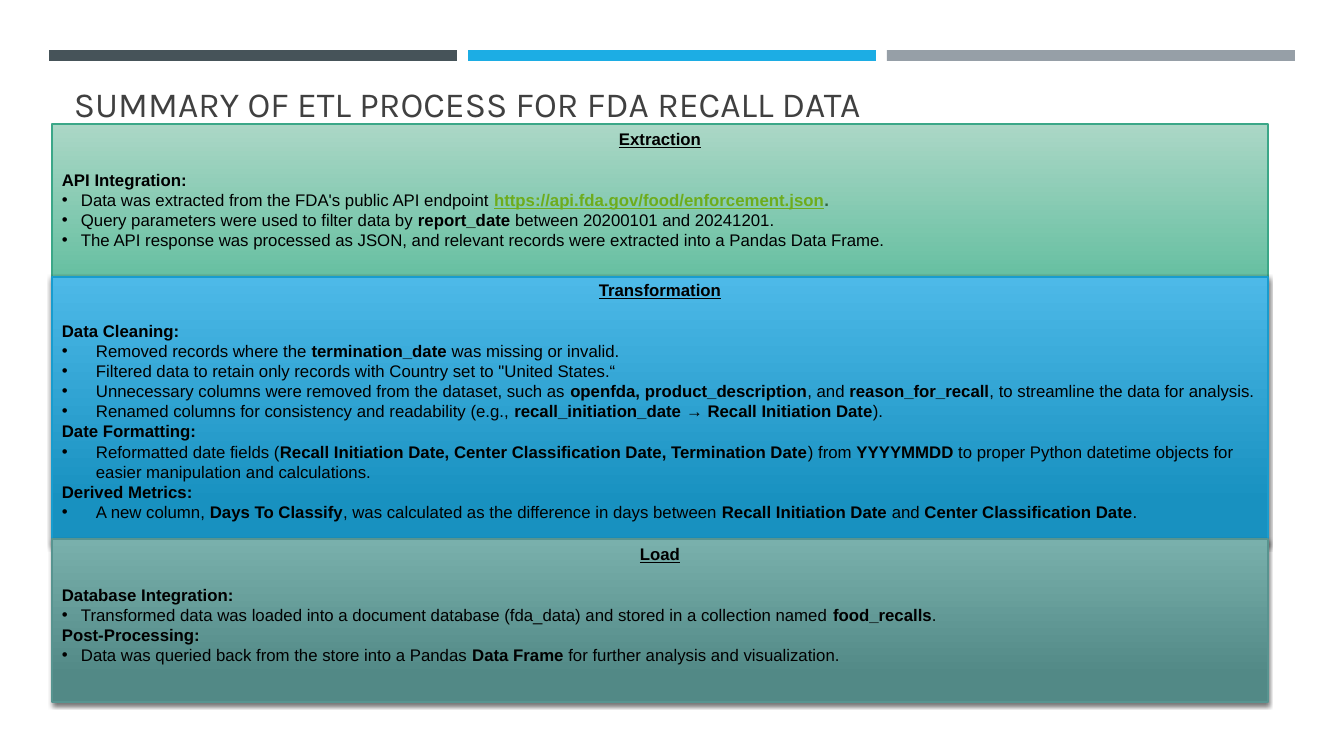
from lxml.etree import SubElement
from pptx import Presentation
from pptx.dml.color import RGBColor
from pptx.enum.shapes import MSO_SHAPE as Shape
from pptx.enum.text import MSO_ANCHOR as Anchor, PP_ALIGN as Align
from pptx.oxml.ns import qn
from pptx.util import Pt

EMU_PER_PX = 914400 / 100.8
COLORS = {
    "dark bar": "465359", "blue bar": "1CADE4", "grey bar": "969FA7",
    "title": "404040", "text": "000000", "link": "6EAC1C", "stop": "2F663E",
    "shadow": "000000",
    "green top": "ABD7C6", "green bottom": "62BE9F", "green line": "3BA788",
    "blue top": "4DB9E8", "blue bottom": "1891C0", "blue line": "189CCE",
    "teal top": "79B0AC", "teal bottom": "528986", "teal line": "579490",
}
ENDPOINT = "https://api.fda.gov/food/enforcement.json"
EMPHASIS_COLORS = {ENDPOINT: "link", ".": "stop"}

STAGES = [
    {
        "heading": "Extraction", "box": (52, 124, 1216, 163), "theme": "green",
        "end": 1, "shadow": False, "indent": 19, "inset": 5,
        "groups": [("API Integration:", [
            f"Data was extracted from the FDA's public API endpoint *{ENDPOINT}**.*",
            "Query parameters were used to filter data by *report_date* between 20200101 and 20241201.",
            "The API response was processed as JSON, and relevant records were extracted into a Pandas Data Frame.",
        ])],
    },
    {
        "heading": "Transformation", "box": (52, 277, 1216, 267), "theme": "blue",
        "end": 0.84, "shadow": True, "indent": 34, "inset": 3,
        "groups": [
            ("Data Cleaning:", [
                "Removed records where the *termination_date *was missing or invalid.",
                "Filtered data to retain only records with Country set to \"United States.“",
                "Unnecessary columns were removed from the dataset, such as *openfda, product_description*, "
                "and *reason_for_recall*, to streamline the data for analysis.",
                "Renamed columns for consistency and readability (e.g., *recall_initiation_date *→ "
                "*Recall Initiation Date*).",
            ]),
            ("Date Formatting:", [
                "Reformatted date fields (*Recall Initiation Date, Center Classification Date, "
                "Termination Date*) from *YYYYMMDD* to proper Python datetime objects for "
                "easier manipulation and calculations.",
            ]),
            ("Derived Metrics:", [
                "A new column, *Days To Classify*, was calculated as the difference in days between "
                "*Recall Initiation Date *and *Center Classification Date*.",
            ]),
        ],
    },
    {
        "heading": "Load", "box": (52, 539, 1216, 163), "theme": "teal",
        "end": 0.84, "shadow": True, "indent": 19, "inset": 5,
        "groups": [
            ("Database Integration:", [
                "Transformed data was loaded into a document database (fda_data) and stored in a collection "
                "named *food_recalls*.",
            ]),
            ("Post-Processing:", [
                "Data was queried back from the store into a Pandas *Data Frame *for further analysis "
                "and visualization.",
            ]),
        ],
    },
]


def px(length):
    """Turn pixels into EMU."""
    return round(length * EMU_PER_PX)


def color(name):
    """Look up a named colour."""
    return RGBColor.from_string(COLORS[name])


def set_all(target, values):
    """Set each attribute in a dict of format values."""
    for name, value in values.items():
        setattr(target, name, value)


def add_run(paragraph, text, color_name="text", **values):
    """Add a run of text with its font."""
    run = paragraph.add_run()
    run.text = text
    set_all(run.font, {"name": "Arial", "size": Pt(12), **values})
    run.font.color.rgb = color(color_name)


def add_bars(slide, left, top, width, height):
    """Place the row of three bars."""
    gap = 11
    bar_width = (width - 2 * gap) // 3
    for column, name in enumerate(("dark bar", "blue bar", "grey bar")):
        bar_left = left + column * (bar_width + gap)
        bar = slide.shapes.add_shape(Shape.RECTANGLE, px(bar_left), px(top), px(bar_width), px(height))
        bar.shadow.inherit = False
        bar.fill.solid()
        bar.fill.fore_color.rgb = color(name)
        bar.line.fill.background()


def add_title(slide, *box):
    """Place the slide title at the foot of its box."""
    frame = slide.shapes.add_textbox(*map(px, box)).text_frame
    set_all(frame, {"word_wrap": True, "vertical_anchor": Anchor.BOTTOM})
    add_run(frame.paragraphs[0], "SUMMARY OF ETL PROCESS FOR FDA RECALL DATA", "title",
            name="Karla", size=Pt(25.2))


def add_shadow(shape):
    """Give a shape a soft shadow below it."""
    effects = shape._element.spPr.find(qn("a:effectLst"))
    shadow = SubElement(effects, qn("a:outerShdw"), blurRad=str(Pt(3)), dist=str(Pt(2)),
                        dir="5400000", rotWithShape="0")
    tone = SubElement(shadow, qn("a:srgbClr"), val=COLORS["shadow"])
    SubElement(tone, qn("a:alpha"), val="55000")


def add_bullet(paragraph, indent):
    """Give a paragraph a bullet with a hanging indent."""
    properties = paragraph._p.get_or_add_pPr()
    properties.set("marL", str(px(indent)))
    properties.set("indent", str(-px(indent)))
    SubElement(properties, qn("a:buFont"), typeface="Arial")
    SubElement(properties, qn("a:buChar"), char="•")


def add_stage(slide, stage):
    """Place one stage panel with its heading and grouped bullets."""
    panel = slide.shapes.add_shape(Shape.RECTANGLE, *map(px, stage["box"]))
    panel.shadow.inherit = False
    if stage["shadow"]:
        add_shadow(panel)
    panel.fill.gradient()
    panel.fill.gradient_angle = 270
    for stop, edge, position in zip(panel.fill.gradient_stops, ("top", "bottom"), (0, stage["end"])):
        stop.color.rgb = color(f"{stage['theme']} {edge}")
        stop.position = position
    panel.line.color.rgb = color(f"{stage['theme']} line")
    panel.line.width = Pt(1)

    frame = panel.text_frame
    set_all(frame, {"word_wrap": True, "vertical_anchor": Anchor.TOP,
                    "margin_top": px(stage["inset"]), "margin_bottom": 0})
    heading = frame.paragraphs[0]
    set_all(heading, {"alignment": Align.CENTER, "space_after": Pt(14.4)})
    add_run(heading, stage["heading"], bold=True, underline=True)
    for label, bullets in stage["groups"]:
        for line in (f"*{label}*", *bullets):
            paragraph = frame.add_paragraph()
            paragraph.alignment = Align.LEFT
            if line in bullets:
                add_bullet(paragraph, stage["indent"])
            for index, text in enumerate(line.split("*")):
                if text:
                    strong = index % 2 == 1
                    color_name = EMPHASIS_COLORS.get(text, "text") if strong else "text"
                    add_run(paragraph, text, color_name, bold=strong, underline=text == ENDPOINT)


def main():
    """Build the slide and save it."""
    presentation = Presentation()
    set_all(presentation, {"slide_width": px(1344), "slide_height": px(756)})
    slide = presentation.slides.add_slide(presentation.slide_layouts[6])
    add_bars(slide, 49, 50, 1246, 11)
    add_title(slide, 64, 78, 1216, 52)
    for stage in STAGES:
        add_stage(slide, stage)
    presentation.save("out.pptx")


if __name__ == "__main__":
    main()
